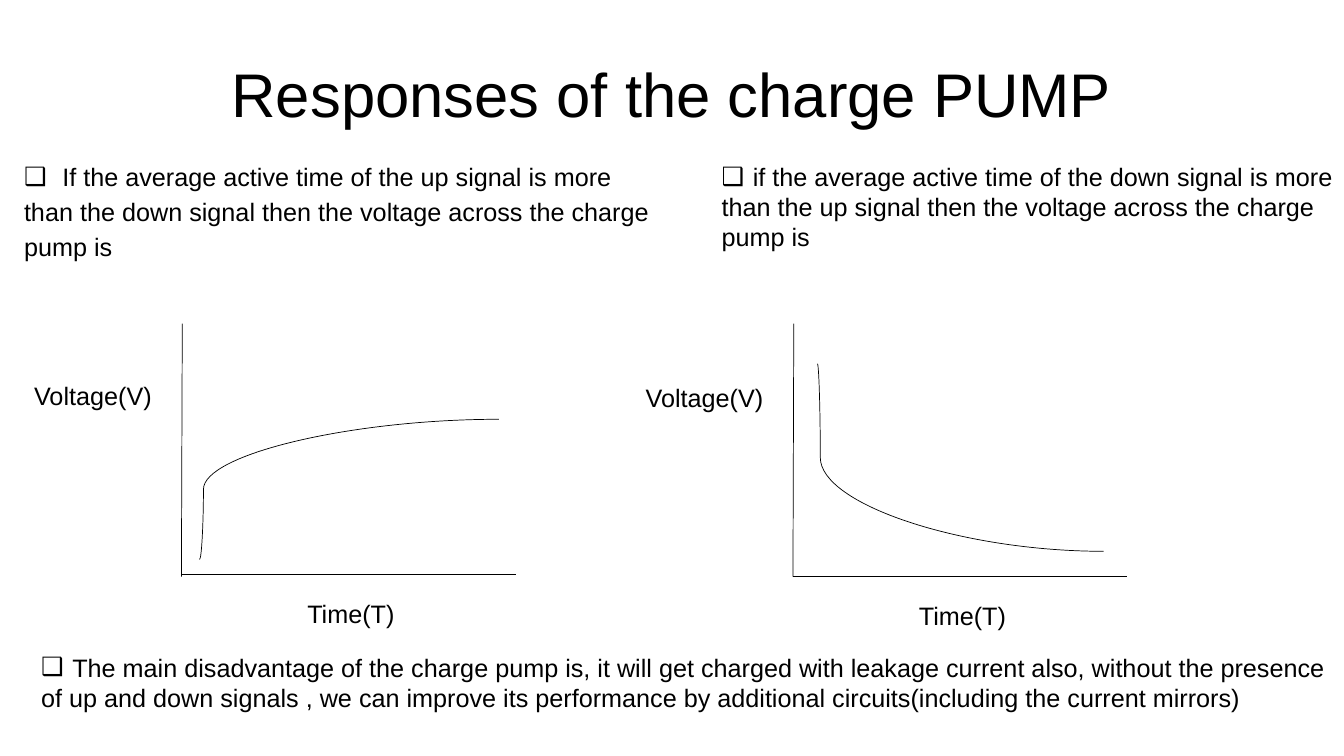
from lxml.etree import SubElement
from pptx import Presentation
from pptx.dml.color import RGBColor
from pptx.enum.shapes import MSO_CONNECTOR
from pptx.enum.text import MSO_ANCHOR, PP_ALIGN
from pptx.oxml.ns import qn
from pptx.util import Inches, Pt

COLORS = {"ink": "000000", "paper": "FFFFFF"}
FONT = "Arial"

# Grid of 160 columns by 90 rows
WIDTH, HEIGHT = Inches(13.33), Inches(7.5)
COLUMN, ROW = WIDTH / 160, HEIGHT / 90


def across(columns):
    return round(columns * COLUMN)


def down(rows):
    return round(rows * ROW)


def add_bullet(para, indent):
    properties = para._p.get_or_add_pPr()
    properties.set("marL", str(Inches(indent)))
    properties.set("indent", str(-Inches(indent)))
    SubElement(properties, qn("a:buFont"), typeface=FONT)
    SubElement(properties, qn("a:buChar"), char="❑")


def add_text(page, lines, left, top, width, height, size=18, align=PP_ALIGN.LEFT,
             anchor=MSO_ANCHOR.TOP, wrap=False, indent=None, gap=0):
    box = page.shapes.add_textbox(across(left), down(top), across(width), down(height))
    frame = box.text_frame
    frame.word_wrap = wrap
    frame.vertical_anchor = anchor
    for number, line in enumerate(lines):
        para = frame.paragraphs[0] if number == 0 else frame.add_paragraph()
        para.alignment = align
        if number:
            para.space_before = Pt(gap)
        elif indent:
            add_bullet(para, indent)
        span = para.add_run()
        span.text = line
        span.font.name = FONT
        span.font.size = Pt(size)
        span.font.color.rgb = RGBColor.from_string(COLORS["ink"])


def add_line(page, start, end, kind=MSO_CONNECTOR.STRAIGHT, bend=None):
    line = page.shapes.add_connector(
        kind, across(start[0]), down(start[1]), across(end[0]), down(end[1]))
    line.line.color.rgb = RGBColor.from_string(COLORS["ink"])
    line.line.width = Pt(0.5)
    properties = line._element.spPr
    SubElement(properties, qn("a:effectLst"))
    if bend is not None:
        guides = properties.find(qn("a:prstGeom")).get_or_add_avLst()
        SubElement(guides, qn("a:gd"), name="adj1", fmla=f"val {bend}")


def add_plot(page, left, base, start, end, bend):
    # Axes
    add_line(page, (left + 0.1, 38.52), (left, 68.64))
    add_line(page, (left, base), (left + 39.8, base))
    # Response
    add_line(page, start, end, kind=MSO_CONNECTOR.CURVE, bend=bend)
    # Axis labels
    add_text(page, ["Voltage(V)"], left - 18.72, base - 23.76, 16.44, 4.8)
    add_text(page, ["Time(T)"], left + 13.8, base + 2.28, 12.84, 4.8)


def main():
    deck = Presentation()
    deck.slide_width, deck.slide_height = WIDTH, HEIGHT
    page = deck.slides.add_slide(deck.slide_layouts[6])
    page.background.fill.solid()
    page.background.fill.fore_color.rgb = RGBColor.from_string(COLORS["paper"])

    # Title
    add_text(page, ["Responses of the charge PUMP"], 8, 3.6, 144, 15, size=44,
             align=PP_ALIGN.CENTER, anchor=MSO_ANCHOR.MIDDLE, wrap=True)

    # Up signal
    add_text(page, ["If the average active time of the up signal is more",
                    "than the down signal then the voltage across the charge",
                    "pump is"],
             1.68, 18.6, 78.84, 59.4, wrap=True, indent=0.38, gap=3.6)
    add_plot(page, 21.6, 68.4, (23.76, 66.6), (59.4, 49.92), bend=1300)

    # Down signal
    add_text(page, ["if the average active time of the down signal is more",
                    "than the up signal then the voltage across the charge",
                    "pump is"],
             84.72, 18.6, 75.96, 12.12, indent=0.31)
    add_plot(page, 94.4, 68.64, (97.32, 43.32), (131.4, 65.64), bend=1000)

    # Disadvantage
    add_text(page, ["The main disadvantage of the charge pump is, it will get charged "
                    "with leakage current also, without the presence",
                    "of up and down signals , we can improve its performance by "
                    "additional circuits(including the current mirrors)"],
             3.72, 77.04, 156, 8.52, indent=0.31)

    deck.save("out.pptx")


if __name__ == "__main__":
    main()
